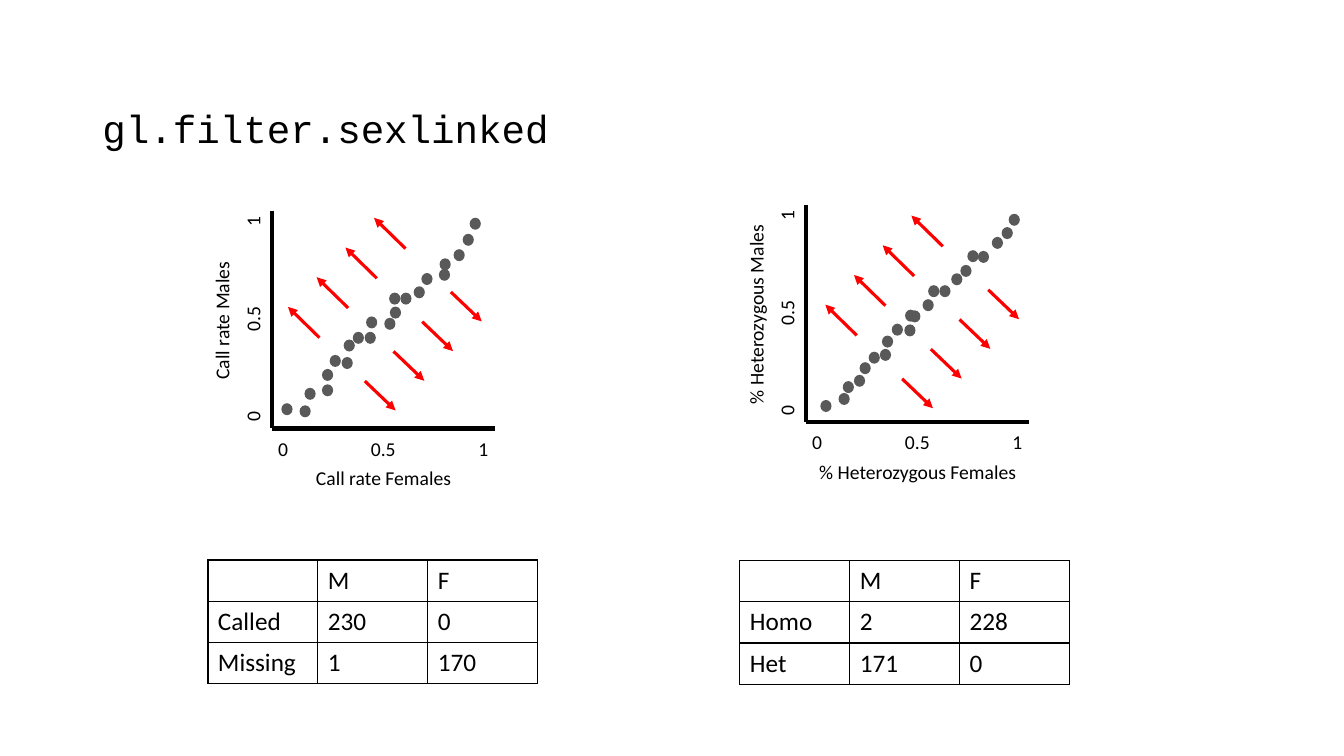
from lxml.etree import SubElement
from pptx import Presentation
from pptx.dml.color import RGBColor
from pptx.enum.shapes import MSO_CONNECTOR, MSO_SHAPE
from pptx.enum.text import MSO_ANCHOR, MSO_AUTO_SIZE, PP_ALIGN
from pptx.oxml.ns import qn
from pptx.util import Pt

CALL_RATE_DOTS = [
    (119, 114), (35.5, 42.5), (51, 63.5), (80, 79), (57.5, 69), (35.5, 31.5),
    (66, 69), (119.5, 121.5), (23, 29), (6.5, 18), (19.5, 16.5), (41, 52.5),
    (83.5, 97), (84, 87), (49.5, 51), (91.5, 97), (106.5, 111), (67, 80),
    (101, 101.5), (129.5, 128), (136, 139), (141, 150.5),
]
HETEROZYGOUS_DOTS = [
    (115, 123), (38, 43), (54, 62), (73.5, 80), (61, 70.5), (34, 34),
    (70, 70), (122.5, 122.5), (26, 29.5), (10, 16), (23, 21), (44.5, 50.5),
    (87, 98), (83, 88), (52.5, 52.5), (95, 98), (110, 112.5), (70.5, 80.5),
    (103.5, 106.5), (132.5, 132.5), (139.5, 139.5), (144.5, 149),
]


def color(value):
    return RGBColor.from_string(value)


def write(frame, text, size=14, font="Calibri", fill="000000",
          align=PP_ALIGN.LEFT, spacing=None, tabs=()):
    paragraph = frame.paragraphs[0]
    paragraph.text = text
    paragraph.alignment = align
    if spacing:
        paragraph.line_spacing = spacing
        paragraph.space_before = Pt(0)
    if tabs:
        properties = paragraph._p.get_or_add_pPr()
        tab_list = SubElement(properties, qn("a:tabLst"))
        for position in tabs:
            SubElement(tab_list, qn("a:tab"), pos=str(Pt(position)), algn="ctr")
    for run in paragraph.runs:
        run.font.size = Pt(size)
        run.font.name = font
        run.font.color.rgb = color(fill)


class SlideBuilder:
    ink = "000000"
    dot_fill = "595959"
    arrow_color = "FF0000"

    def __init__(self, slide):
        self.slide = slide
        self.shapes = slide.shapes

    def title(self, text, left, top, width, height):
        shape = self.slide.shapes.title
        shape.left, shape.top = Pt(left), Pt(top)
        shape.width, shape.height = Pt(width), Pt(height)
        frame = shape.text_frame
        frame.word_wrap = True
        frame.auto_size = MSO_AUTO_SIZE.NONE
        frame.vertical_anchor = MSO_ANCHOR.TOP
        write(frame, text, size=28, font="Courier New", spacing=0.9)

    def label(self, text, center_x, center_y, width, rotation=0, tabs=()):
        height = 24.2
        box = self.shapes.add_textbox(Pt(center_x - width / 2), Pt(center_y - height / 2),
                                      Pt(width), Pt(height))
        box.rotation = rotation
        frame = box.text_frame
        frame.word_wrap = True
        frame.margin_left = frame.margin_right = 0
        write(frame, text, tabs=tabs,
              align=PP_ALIGN.LEFT if tabs else PP_ALIGN.CENTER)

    def line(self, start, end, line_color, width, arrow=False):
        connector = self.shapes.add_connector(
            MSO_CONNECTOR.STRAIGHT, *(Pt(value) for value in (*start, *end)))
        connector.line.color.rgb = color(line_color)
        connector.line.width = Pt(width)
        if arrow:
            SubElement(connector.line._get_or_add_ln(), qn("a:tailEnd"), type="triangle")
        SubElement(connector._element.spPr, qn("a:effectLst"))

    def dot(self, left, top):
        shape = self.shapes.add_shape(MSO_SHAPE.OVAL, Pt(left), Pt(top), Pt(8), Pt(8.6))
        shape.shadow.inherit = False
        shape.fill.solid()
        shape.fill.fore_color.rgb = color(self.dot_fill)
        shape.line.fill.background()

    def arrows(self, left, top):
        for index in range(4):
            x, y = left + 20.5 * index, top - 21.2 * index
            self.line((x, y), (x - 22.5, y - 22), self.arrow_color, 2.25, arrow=True)
            x, y = x + 32.4, y + 31
            self.line((x, y), (x + 22, y + 21), self.arrow_color, 2.25, arrow=True)

    def plot(self, x, y, measure, label_width, arrow_start, dots):
        self.shapes = self.slide.shapes.add_group_shape().shapes
        self.arrows(*arrow_start)
        self.line((x, y - 155.5), (x, y), self.ink, 3)
        self.line((x + 159, y), (x, y), self.ink, 3)
        ticks = "\t0\t0.5\t1"
        self.label(ticks, x + 79, y + 14.3, 166.5, tabs=(12, 83.5, 155))
        self.label(ticks, x - 14, y - 77.2, 160.5, 270, tabs=(11.5, 81, 150.5))
        self.label(f"{measure} Females", x + 79.5, y + 35.3, label_width)
        self.label(f"{measure} Males", x - 36, y - 77, label_width, 270)
        for right, up in dots:
            self.dot(x + right, y - up)
        self.shapes = self.slide.shapes

    def table(self, rows, left, top):
        column_width, row_height = 78.5, 29.5
        table = self.shapes.add_table(
            len(rows), len(rows[0]), Pt(left), Pt(top),
            Pt(column_width * len(rows[0])), Pt(row_height * len(rows))).table
        table.first_row = table.horz_banding = False
        for column in table.columns:
            column.width = Pt(column_width)
        for row_index, row in enumerate(rows):
            table.rows[row_index].height = Pt(row_height)
            for column_index, text in enumerate(row):
                cell = table.cell(row_index, column_index)
                self.border(cell)
                cell.fill.background()
                if text:
                    write(cell.text_frame, text, size=18)

    def border(self, cell):
        properties = cell._tc.get_or_add_tcPr()
        for side in ("a:lnL", "a:lnR", "a:lnT", "a:lnB"):
            edge = SubElement(properties, qn(side), w=str(Pt(1)))
            fill = SubElement(edge, qn("a:solidFill"))
            SubElement(fill, qn("a:srgbClr"), val=self.ink)


def main():
    presentation = Presentation()
    presentation.slide_width = Pt(960)
    presentation.slide_height = Pt(540)
    slide = presentation.slides.add_slide(presentation.slide_layouts[5])
    builder = SlideBuilder(slide)
    builder.title("gl.filter.sexlinked", 66, 75, 828, 342.5)
    builder.plot(194.5, 306, "Call rate", 160, (228.2, 241.2), CALL_RATE_DOTS)
    builder.plot(576, 301.7, "% Heterozygous", 190, (612, 239.6), HETEROZYGOUS_DOTS)
    builder.table([("", "M", "F"), ("Called", "230", "0"), ("Missing", "1", "170")], 148.5, 400)
    builder.table([("", "M", "F"), ("Homo", "2", "228"), ("Het", "171", "0")], 528.5, 400.3)
    presentation.save("out.pptx")


if __name__ == "__main__":
    main()
